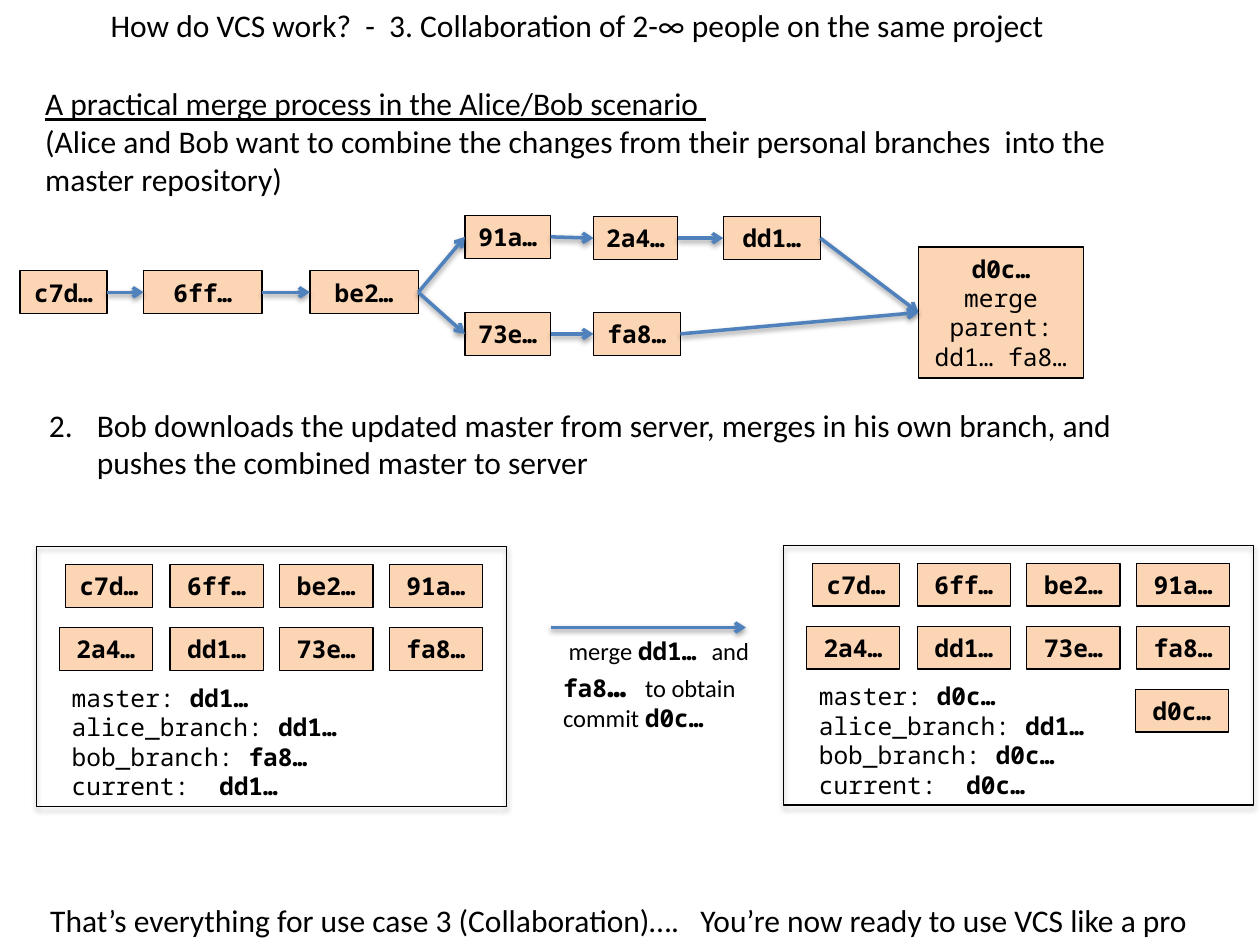
from dataclasses import dataclass

from lxml import etree
from pptx import Presentation
from pptx.dml.color import RGBColor
from pptx.enum.shapes import MSO_CONNECTOR, MSO_SHAPE
from pptx.enum.text import MSO_ANCHOR, PP_ALIGN
from pptx.oxml.ns import qn
from pptx.util import Inches, Pt

RECTANGLE = MSO_SHAPE.RECTANGLE
STRAIGHT = MSO_CONNECTOR.STRAIGHT
LEFT, CENTER = PP_ALIGN.LEFT, PP_ALIGN.CENTER
TOP, MIDDLE = MSO_ANCHOR.TOP, MSO_ANCHOR.MIDDLE
COLUMNS, ROWS = 100, 75
COLORS = {"text": "000000", "node": "FCD5B5", "outline": "000000", "arrow": "4F81BD"}
SANS, MONO = "Calibri", "Noto Sans Mono"
LEFT_SITE, RIGHT_SITE = 1, 3
NODE_HEIGHT = 3.4

deck = Presentation()
deck.slide_width, deck.slide_height = Inches(10), Inches(7.5)
page = deck.slides.add_slide(deck.slide_layouts[6])


@dataclass
class Area:
    column: float
    row: float
    width: float
    height: float = NODE_HEIGHT

    def shifted(self, columns: float, rows: float) -> "Area":
        return Area(self.column + columns, self.row + rows, self.width, self.height)

    def lengths(self) -> tuple:
        return across(self.column), down(self.row), across(self.width), down(self.height)


@dataclass
class Span:
    text: str
    font: str = SANS
    size: int = 18
    bold: bool = False
    underline: bool = False


@dataclass
class Panel:
    column: float
    row: float
    pointers: dict


def across(columns: float) -> int:
    return int(deck.slide_width * columns / COLUMNS)


def down(rows: float) -> int:
    return int(deck.slide_height * rows / ROWS)


def color(name: str) -> RGBColor:
    return RGBColor.from_string(COLORS[name])


def code(text: str, bold: bool = False) -> Span:
    return Span(text, MONO, 14, bold)


def write_text(shape, paragraphs: list, align=LEFT, anchor=TOP, inset: float = 0.1, number: int = 0):
    frame = shape.text_frame
    frame.word_wrap = True
    frame.vertical_anchor = anchor
    frame.margin_left = frame.margin_right = Inches(inset)
    frame.margin_top = frame.margin_bottom = Inches(0.05)
    for index, spans in enumerate(paragraphs):
        para = frame.add_paragraph() if index else frame.paragraphs[0]
        para.alignment = align
        if number:
            properties = para._p.get_or_add_pPr()
            properties.set("marL", str(Inches(0.38)))
            properties.set("indent", str(-Inches(0.38)))
            etree.SubElement(properties, qn("a:buAutoNum"), type="arabicPeriod", startAt=str(number))
        for span in spans:
            run = para.add_run()
            run.text = span.text
            run.font.name, run.font.size = span.font, Pt(span.size)
            run.font.bold, run.font.underline = span.bold, span.underline
            run.font.color.rgb = color("text")


def add_text(area: Area, paragraphs: list, **style):
    write_text(page.shapes.add_textbox(*area.lengths()), paragraphs, **style)


def add_shadow(shape, opacity: int, distance: float):
    effects = etree.SubElement(shape._element.spPr, qn("a:effectLst"))
    shadow = etree.SubElement(effects, qn("a:outerShdw"), blurRad=str(Pt(3.1)),
                              dist=str(Pt(distance)), dir="5400000", rotWithShape="0")
    tint = etree.SubElement(shadow, qn("a:srgbClr"), val=COLORS["outline"])
    etree.SubElement(tint, qn("a:alpha"), val=str(opacity * 1000))


def add_box(area: Area):
    box = page.shapes.add_shape(RECTANGLE, *area.lengths())
    box.line.color.rgb = color("outline")
    box.line.width = Pt(0.75)
    return box


def add_node(area: Area, name: str, details: tuple = ()):
    node = add_box(area)
    node.shadow.inherit = False
    node.fill.solid()
    node.fill.fore_color.rgb = color("node")
    paragraphs = [[code(name, True)]] + [[code(detail)] for detail in details]
    write_text(node, paragraphs, align=CENTER, anchor=MIDDLE, inset=0.05)
    return node


def add_arrow(start: tuple = (0, 0), end: tuple = (0, 0)):
    arrow = page.shapes.add_connector(STRAIGHT, across(start[0]), down(start[1]), across(end[0]), down(end[1]))
    arrow.line.color.rgb = color("arrow")
    arrow.line.width = Pt(2)
    etree.SubElement(arrow.line._get_or_add_ln(), qn("a:tailEnd"), type="arrow")
    add_shadow(arrow, 38, 1.6)
    return arrow


def link_nodes(parent, child):
    arrow = add_arrow()
    arrow.begin_connect(parent, RIGHT_SITE)
    arrow.end_connect(child, LEFT_SITE)


def add_panel(panel: Panel):
    frame = add_box(Area(panel.column, panel.row, 37.3, 20.6))
    frame.fill.background()
    add_shadow(frame, 35, 1.8)
    for row, names in enumerate(PANEL_COMMITS):
        for column, name in enumerate(names):
            narrow = 0.5 if row == column == 0 else 0
            left = 10.6 + 8.7 * (column - 1) if column else 1.8 + narrow
            area = Area(left, 1.4 + 5 * row, 7.4 - narrow)
            add_node(area.shifted(panel.column, panel.row), name)
    pointers = [[code(label), code(commit, True)] for label, commit in panel.pointers.items()]
    add_text(Area(1.8, 10.3, 24.9, 10.4).shifted(panel.column, panel.row), pointers)


GRAPH = {
    "c7d…": Area(1.6, 21.5, 6.9),
    "6ff…": Area(11.4, 21.5, 9.4),
    "be2…": Area(24.6, 21.5, 8.6),
    "91a…": Area(36.9, 17.1, 6.8),
    "2a4…": Area(47.1, 17.2, 6.7),
    "dd1…": Area(57.4, 17.2, 7.7),
    "73e…": Area(36.9, 24.8, 6.8),
    "fa8…": Area(47.1, 24.8, 6.9),
}
BRANCHES = [
    ("c7d…", "6ff…", "be2…", "91a…", "2a4…", "dd1…", "d0c…"),
    ("be2…", "73e…", "fa8…", "d0c…"),
]
PANEL_COMMITS = [("c7d…", "6ff…", "be2…", "91a…"), ("2a4…", "dd1…", "73e…", "fa8…")]
PANELS = [
    Panel(2.9, 43.4, {"master: ": "dd1…", "alice_branch: ": "dd1…", "bob_branch: ": "fa8…", "current:  ": "dd1…"}),
    Panel(62.2, 43.3, {"master: ": "d0c…", "alice_branch: ": "dd1…", "bob_branch: ": "d0c…", "current:  ": "d0c…"}),
]

add_text(Area(7.8, 0, 88.4, 4),
         [[Span("How do VCS work?  -  3. Collaboration of 2-∞ people on the same project")]])
add_text(Area(2.6, 6.2, 88.8, 10.1), [
    [Span("A practical merge process in the Alice/Bob scenario ", underline=True)],
    [Span("(Alice and Bob want to combine the changes from their personal branches  into the master repository)")],
])
add_text(Area(2.9, 31.7, 93.7, 7.1), [[Span(
    "Bob downloads the updated master from server, merges in his own branch, "
    "and pushes the combined master to server")]], number=2)

nodes = {name: add_node(area, name) for name, area in GRAPH.items()}
nodes["d0c…"] = add_node(Area(72.9, 19.6, 13.1, 10.4), "d0c…", ("merge", "parent: dd1… fa8…"))
for branch in BRANCHES:
    for parent, child in zip(branch, branch[1:]):
        link_nodes(nodes[parent], nodes[child])

for panel in PANELS:
    add_panel(panel)
add_node(Area(90.1, 54.7, 7.4), "d0c…")
add_arrow((43.7, 49.8), (59.2, 49.8))
add_text(Area(43.7, 50, 18.5, 8.8), [[
    Span(" merge ", size=14), code("dd1… ", True), Span("and ", size=14),
    code("fa8", True), Span("… ", MONO, 18, True),
    Span("to obtain commit ", size=14), code("d0c…", True),
]])
add_text(Area(3, 71, 96.5, 4), [[Span(
    "That’s everything for use case 3 (Collaboration)….   You’re now ready to use VCS like a pro")]])
deck.save("out.pptx")
